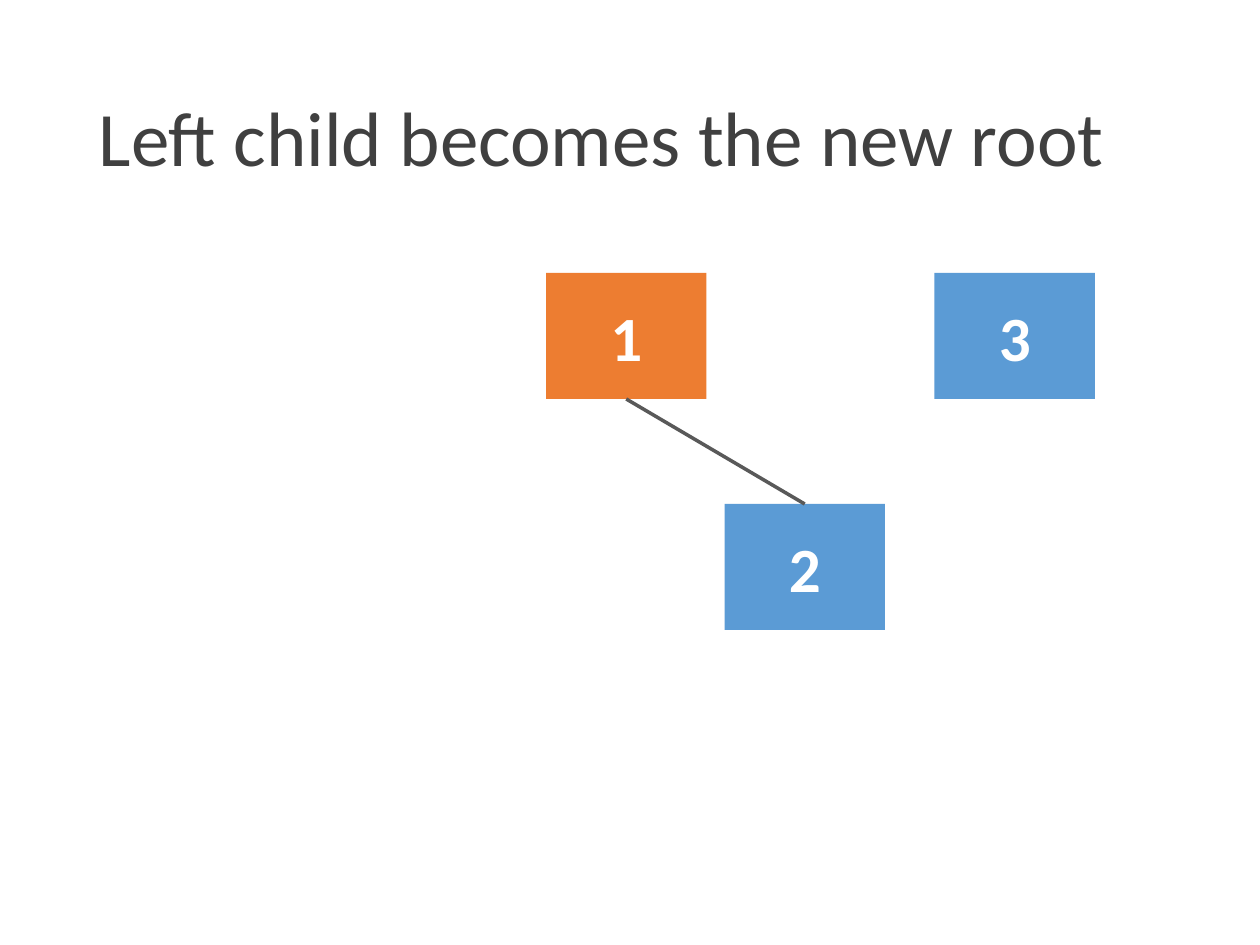
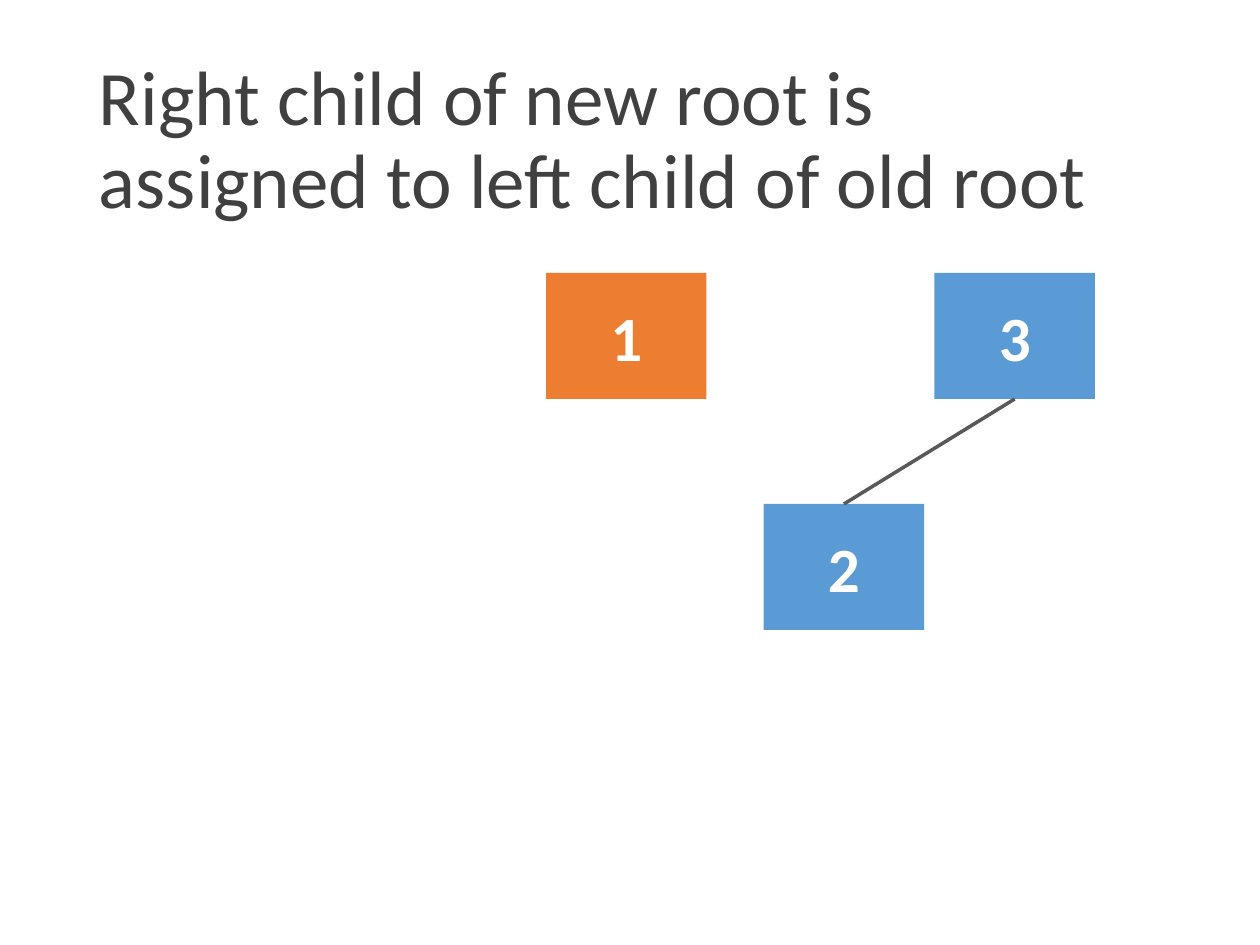
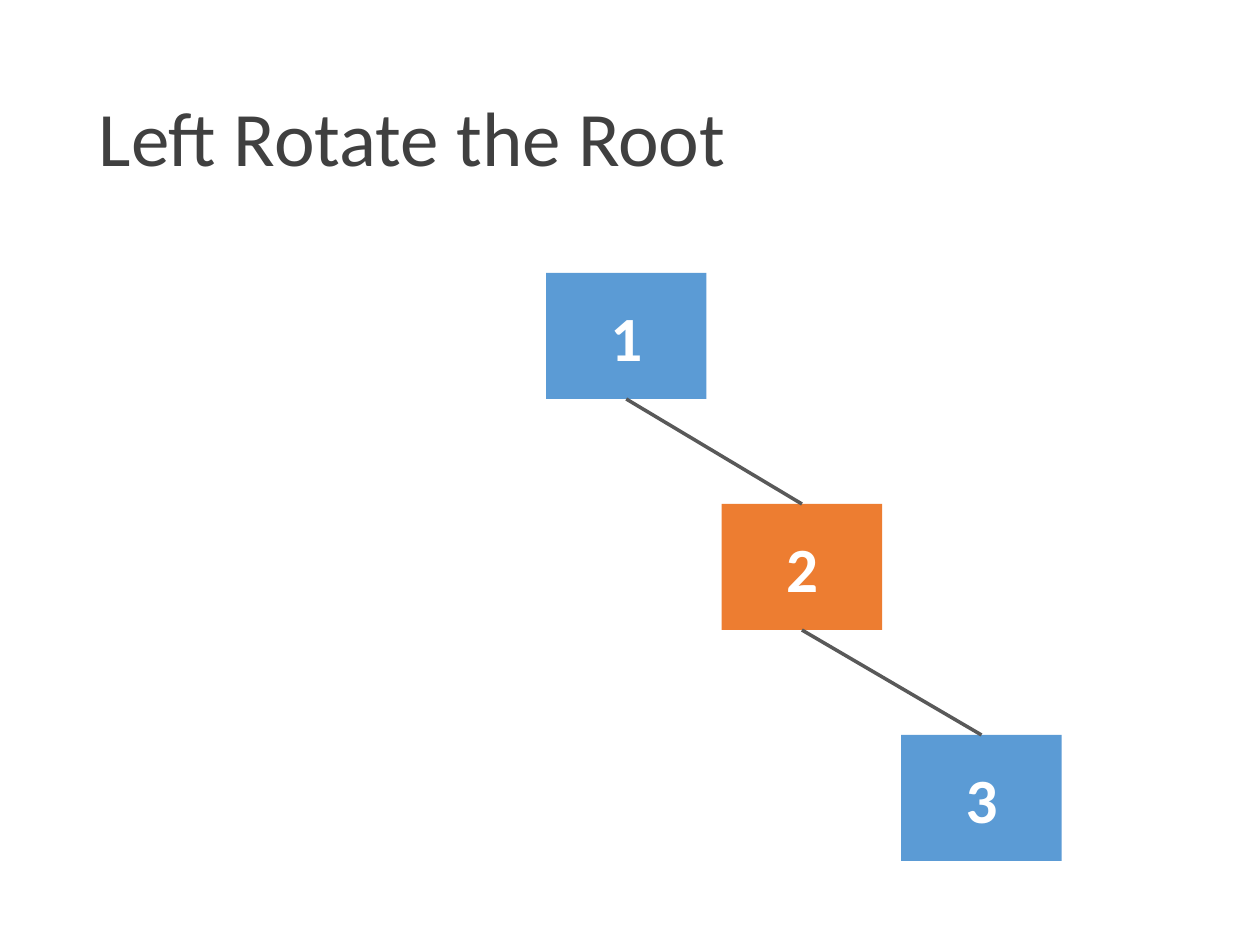
import pptx
import pptx.dml.color
import pptx.enum.shapes
import pptx.enum.text
import pptx.oxml
import pptx.oxml.xmlchemy
import pptx.util

Pt = pptx.util.Pt
RGBColor = pptx.dml.color.RGBColor

TITLE_GREY = RGBColor(0x40, 0x40, 0x40)
EDGE_GREY = RGBColor(0x59, 0x59, 0x59)
BLUE = RGBColor(0x5B, 0x9B, 0xD5)
ORANGE = RGBColor(0xED, 0x7D, 0x31)
WHITE = RGBColor(0xFF, 0xFF, 0xFF)

FONT = "Calibri"
NODE_WIDTH, NODE_HEIGHT = 91.7, 72
TOP_ROW, ROW_STEP = 156, 132
LEFT_COLUMN, RIGHT_COLUMN = 312, 534
BOTTOM_SITE, TOP_SITE = 2, 0


class TreeDeck:
    def __init__(self):
        self.deck = pptx.Presentation()
        self.deck.slide_width = Pt(720)
        self.deck.slide_height = Pt(540)
        self.page = None

    def add_page(self):
        self.page = self.deck.slides.add_slide(self.deck.slide_layouts[6])

    def add_text(self, box, text, size, color, bold=False):
        frame = box.text_frame
        frame.word_wrap = True
        frame.vertical_anchor = pptx.enum.text.MSO_ANCHOR.MIDDLE
        para = frame.paragraphs[0]
        span = para.add_run()
        span.text = text
        span.font.name = FONT
        span.font.size = Pt(size)
        span.font.bold = bold
        span.font.color.rgb = color
        return para

    def title(self, text):
        box = self.page.shapes.add_textbox(Pt(49.5), Pt(28.75), Pt(621), Pt(104.4))
        para = self.add_text(box, text, 44, TITLE_GREY)
        para.line_spacing = 0.9

    def node(self, label, left, level, color=BLUE):
        box = self.page.shapes.add_shape(
            pptx.enum.shapes.MSO_SHAPE.RECTANGLE,
            Pt(left), Pt(TOP_ROW + level * ROW_STEP), Pt(NODE_WIDTH), Pt(NODE_HEIGHT))
        box.shadow.inherit = False
        box.fill.solid()
        box.fill.fore_color.rgb = color
        box.line.fill.background()
        para = self.add_text(box, label, 36, WHITE, bold=True)
        para.alignment = pptx.enum.text.PP_ALIGN.CENTER
        return box

    def edge(self, parent, child):
        line = self.page.shapes.add_connector(
            pptx.enum.shapes.MSO_CONNECTOR.STRAIGHT, Pt(0), Pt(0), Pt(0), Pt(0))
        line.begin_connect(parent, BOTTOM_SITE)
        line.end_connect(child, TOP_SITE)
        line.line.color.rgb = EDGE_GREY
        line.line.width = Pt(2)
        line._element.spPr.append(pptx.oxml.xmlchemy.OxmlElement("a:effectLst"))


def main():
    tree = TreeDeck()

    tree.add_page()
    tree.title("Left child becomes the new root")
    one = tree.node("1", LEFT_COLUMN, 0, ORANGE)
    two = tree.node("2", 414, 1)
    tree.edge(one, two)
    tree.node("3", RIGHT_COLUMN, 0)

    tree.add_page()
    tree.title("Right child of new root is assigned to left child of old root")
    tree.node("1", LEFT_COLUMN, 0, ORANGE)
    two = tree.node("2", 436.4, 1)
    three = tree.node("3", RIGHT_COLUMN, 0)
    tree.edge(three, two)

    tree.add_page()
    two = tree.node("2", 412.4, 1, ORANGE)
    tree.title("Left Rotate the Root")
    three = tree.node("3", 515, 2)
    one = tree.node("1", LEFT_COLUMN, 0)
    tree.edge(one, two)
    tree.edge(two, three)

    tree.deck.save("out.pptx")


if __name__ == "__main__":
    main()
